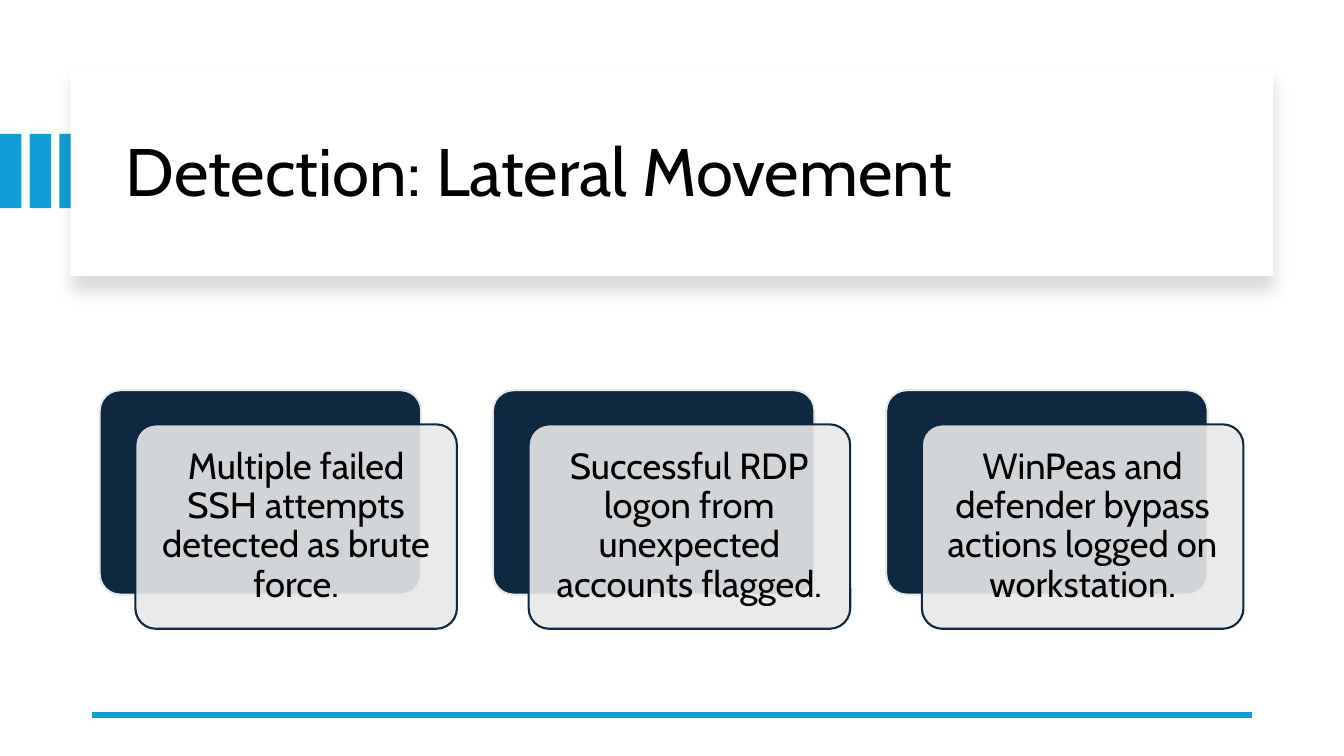
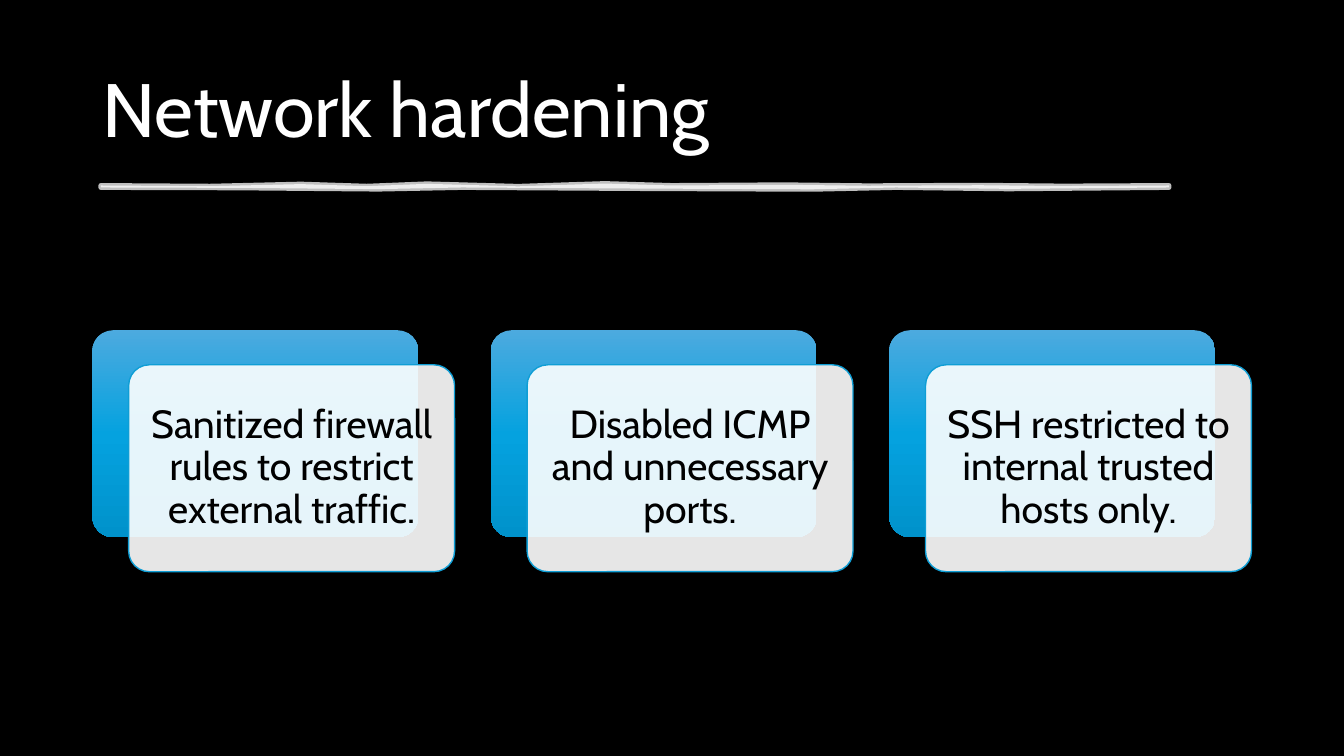
"""Build two security slides with titles and overlapping cards."""
from copy import deepcopy

from lxml.etree import SubElement
from pptx import Presentation
from pptx.dml.color import RGBColor
from pptx.enum.shapes import MSO_CONNECTOR, MSO_SHAPE
from pptx.enum.text import MSO_ANCHOR, PP_ALIGN
from pptx.oxml.ns import qn
from pptx.util import Pt

FONT = "Cabin"
SLIDE_WIDTH, SLIDE_HEIGHT = 960, 540
COLOURS = {
    "white": "FFFFFF",
    "black": "000000",
    "blue": "0F9ED5",
    "navy": "0E2841",
    "grey": "E8E8E8",
}
GRADIENT = [(0, "4CAADF"), (0.5, "05A2DF"), (1, "0092CB")]

DETECTION = {
    "title": "Detection: Lateral Movement",
    "cards": [
        "Multiple failed SSH attempts detected as brute force.",
        "Successful RDP logon from unexpected accounts flagged.",
        "WinPeas and defender bypass actions logged on workstation.",
    ],
}
HARDENING = {
    "title": "Network hardening",
    "cards": [
        "Sanitized firewall rules to restrict external traffic.",
        "Disabled ICMP and unnecessary ports.",
        "SSH restricted to internal trusted hosts only.",
    ],
}
DETECTION_CARDS = {
    "left": 71.2, "top": 278.7, "pitch": 280.9, "width": 229.7, "height": 146,
    "shift": (25.5, 24.4), "back_fill": "navy", "back_line": "grey",
    "front_fill": "grey", "front_line": "navy", "line_width": 1.5,
    "size": 26, "margin": 8,
}
HARDENING_CARDS = {
    "left": 66, "top": 235.9, "pitch": 284.6, "width": 232.8, "height": 147.8,
    "shift": (25.9, 24.7), "back_fill": None, "back_line": None,
    "front_fill": "white", "front_line": "blue", "line_width": 1,
    "size": 28, "margin": 8,
}

BRUSH_OUTLINE = [
    (72, 132.5), (150, 133), (215, 131.5), (262, 133), (305, 131.3),
    (370, 133.1), (432, 131.1), (480, 132.5), (560, 132), (620, 132.7),
    (700, 132.3), (760, 132.9), (835, 132.5),
    (835, 133.9), (720, 134.9), (640, 133.9), (580, 135.2), (460, 134.7),
    (330, 133.9), (270, 135.1), (170, 134.2), (72, 133.9),
]


def colour(name):
    return RGBColor.from_string(COLOURS[name])


def set_alpha(solid_fill, percent):
    SubElement(solid_fill[0], qn("a:alpha"), val=str(percent * 1000))


def add_box(slide, kind, left, top, width, height, fill=None, line=None, line_width=1):
    shape = slide.shapes.add_shape(kind, Pt(left), Pt(top), Pt(width), Pt(height))
    shape.shadow.inherit = False
    if fill:
        shape.fill.solid()
        shape.fill.fore_color.rgb = colour(fill)
    if line:
        shape.line.color.rgb = colour(line)
        shape.line.width = Pt(line_width)
    else:
        shape.line.fill.background()
    return shape


def write_text(shape, text, size, name, alignment):
    frame = shape.text_frame
    frame.word_wrap = True
    frame.vertical_anchor = MSO_ANCHOR.MIDDLE
    frame.text = text
    paragraph = frame.paragraphs[0]
    paragraph.alignment = alignment
    paragraph.line_spacing = 0.9
    font = paragraph.runs[0].font
    font.name = FONT
    font.size = Pt(size)
    font.color.rgb = colour(name)


def add_title(slide, text, left, top, width, height, size, name):
    box = slide.shapes.add_textbox(Pt(left), Pt(top), Pt(width), Pt(height))
    write_text(box, text, size, name, PP_ALIGN.LEFT)


def fill_gradient(shape):
    shape.fill.gradient()
    shape.fill.gradient_angle = 270
    stops = shape.element.spPr.find(qn("a:gradFill")).find(qn("a:gsLst"))
    stops.append(deepcopy(stops[-1]))
    for stop, (position, value) in zip(shape.fill.gradient_stops, GRADIENT):
        stop.position = position
        stop.color.rgb = RGBColor.from_string(value)


def add_cards(slide, texts, style):
    width, height = style["width"], style["height"]
    shift_right, shift_down = style["shift"]
    for index, text in enumerate(texts):
        left = style["left"] + index * style["pitch"]
        back = add_box(slide, MSO_SHAPE.ROUNDED_RECTANGLE, left, style["top"], width, height,
                       style["back_fill"], style["back_line"], style["line_width"])
        if not style["back_fill"]:
            fill_gradient(back)
        front = add_box(slide, MSO_SHAPE.ROUNDED_RECTANGLE, left + shift_right,
                        style["top"] + shift_down, width, height,
                        style["front_fill"], style["front_line"], style["line_width"])
        set_alpha(front.element.spPr.find(qn("a:solidFill")), 90)
        for card in (back, front):
            card.adjustments[0] = 0.1
        frame = front.text_frame
        frame.margin_left = frame.margin_right = Pt(style["margin"])
        frame.margin_top = frame.margin_bottom = Pt(style["margin"])
        write_text(front, text, style["size"], "black", PP_ALIGN.CENTER)


def add_soft_shadow(shape):
    effects = shape.element.spPr.find(qn("a:effectLst"))
    shadow = SubElement(effects, qn("a:outerShdw"), blurRad=str(Pt(11)), dist=str(Pt(10)),
                        dir="5400000", algn="t", rotWithShape="0")
    shade = SubElement(shadow, qn("a:srgbClr"), val=COLOURS["black"])
    SubElement(shade, qn("a:alpha"), val="15000")


def add_rule(slide, left, right, top):
    rule = slide.shapes.add_connector(MSO_CONNECTOR.STRAIGHT, Pt(left), Pt(top), Pt(right), Pt(top))
    rule.line.color.rgb = colour("blue")
    rule.line.width = Pt(4.5)
    SubElement(rule.element.spPr, qn("a:effectLst"))


def add_brush_stroke(slide):
    points = [(Pt(x), Pt(y)) for x, y in BRUSH_OUTLINE]
    builder = slide.shapes.build_freeform(*points[0])
    builder.add_line_segments(points[1:], close=True)
    stroke = builder.convert_to_shape()
    stroke.shadow.inherit = False
    stroke.fill.solid()
    stroke.fill.fore_color.rgb = colour("white")
    stroke.line.color.rgb = colour("white")
    stroke.line.width = Pt(3.5)
    properties = stroke.element.spPr
    for parent in (properties, properties.find(qn("a:ln"))):
        set_alpha(parent.find(qn("a:solidFill")), 75)


def add_slide(presentation):
    slide = presentation.slides.add_slide(presentation.slide_layouts[6])
    slide.background.fill.solid()
    slide.background.fill.fore_color.rgb = colour("white")
    return slide


def build_detection(presentation):
    slide = add_slide(presentation)
    for index in range(3):
        add_box(slide, MSO_SHAPE.RECTANGLE, index * 21.2, 95.7, 15.3, 53, "blue")
    banner = add_box(slide, MSO_SHAPE.RECTANGLE, 50.4, 48.2, 859, 149, "white")
    add_soft_shadow(banner)
    add_title(slide, DETECTION["title"], 82.8, 63.5, 801.4, 122.4, 48, "black")
    add_rule(slide, 894, 66, 510.5)
    add_cards(slide, DETECTION["cards"], DETECTION_CARDS)


def build_hardening(presentation):
    slide = add_slide(presentation)
    add_box(slide, MSO_SHAPE.RECTANGLE, 0, 0, SLIDE_WIDTH, SLIDE_HEIGHT, "black")
    add_title(slide, HARDENING["title"], 66, 28.8, 828, 104.4, 54, "white")
    add_brush_stroke(slide)
    add_cards(slide, HARDENING["cards"], HARDENING_CARDS)


def main():
    presentation = Presentation()
    presentation.slide_width = Pt(SLIDE_WIDTH)
    presentation.slide_height = Pt(SLIDE_HEIGHT)
    build_detection(presentation)
    build_hardening(presentation)
    presentation.save("out.pptx")


if __name__ == "__main__":
    main()
